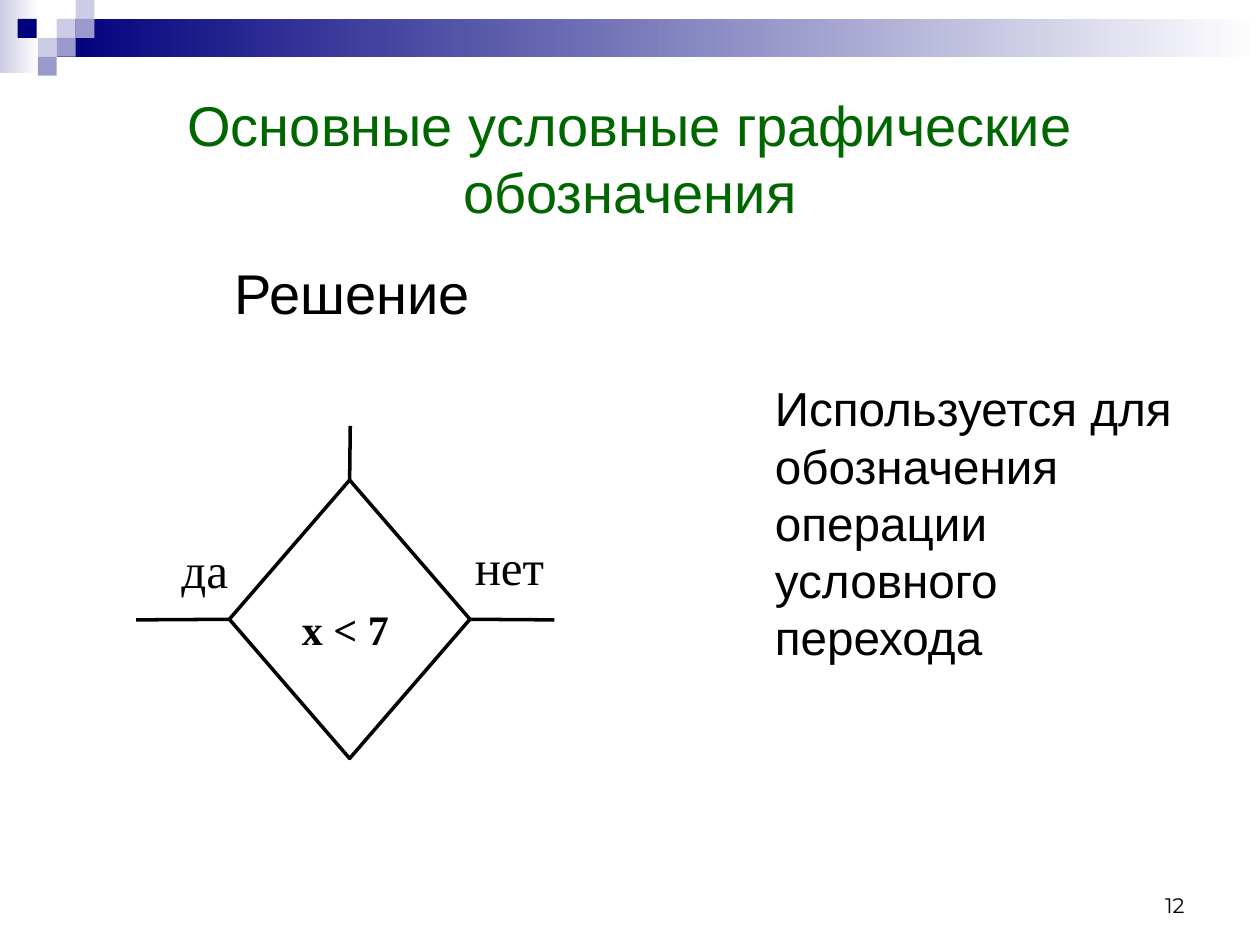
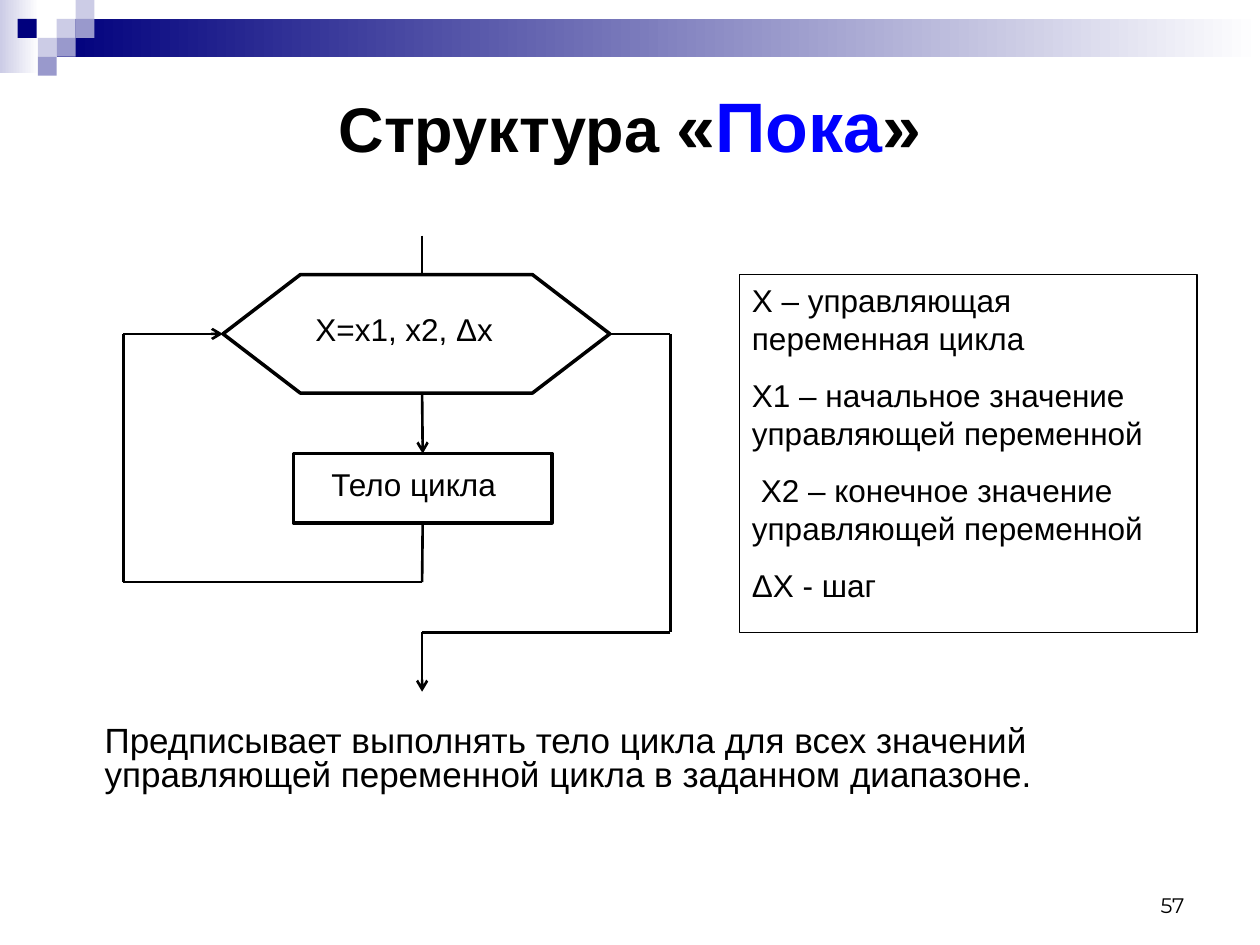
from pptx import Presentation
from pptx.dml.color import RGBColor
from pptx.enum.shapes import MSO_CONNECTOR, MSO_SHAPE
from pptx.enum.text import MSO_ANCHOR, MSO_AUTO_SIZE, PP_ALIGN
from pptx.oxml.ns import qn
from pptx.util import Inches, Pt

RECTANGLE = MSO_SHAPE.RECTANGLE
DECISION = MSO_SHAPE.FLOWCHART_DECISION
PREPARATION = MSO_SHAPE.FLOWCHART_PREPARATION
STRAIGHT = MSO_CONNECTOR.STRAIGHT
TOP, MIDDLE, BOTTOM = MSO_ANCHOR.TOP, MSO_ANCHOR.MIDDLE, MSO_ANCHOR.BOTTOM
LEFT, CENTER, RIGHT = PP_ALIGN.LEFT, PP_ALIGN.CENTER, PP_ALIGN.RIGHT
SITE_TOP, SITE_LEFT, SITE_BOTTOM, SITE_RIGHT = range(4)

BLACK = RGBColor(0x00, 0x00, 0x00)
WHITE = RGBColor(0xFF, 0xFF, 0xFF)
GREEN = RGBColor(0x00, 0x66, 0x00)
BLUE = RGBColor(0x00, 0x00, 0xFF)
NAVY = RGBColor(0x00, 0x00, 0x7D)
LAVENDER = RGBColor(0xCC, 0xCC, 0xE6)
VIOLET = RGBColor(0x99, 0x99, 0xCC)
SANS, SERIF, NUMBER_FONT = "Arial", "Times New Roman", "Montserrat"

# Content
DECISION_SLIDE = {
    "number": "12",
    "title": [("Основные условные графические обозначения", {"size": 32, "color": GREEN})],
    "title_height": 1.5,
    "body": "Используется для обозначения операции условного перехода",
    "body_box": (5.67, 2.96, 3.75, 2.72),
    "body_format": {"size": 27.2},
}
LOOP_SLIDE = {
    "number": "57",
    "title": [("Структура ", {"size": 36, "bold": True}),
              ("«", {"size": 40, "bold": True}),
              ("Пока", {"size": 40, "bold": True, "color": BLUE}),
              ("»", {"size": 40, "bold": True})],
    "title_height": 0.97,
    "body": "Предписывает выполнять тело цикла для всех значений "
            "управляющей переменной цикла в заданном диапазоне.",
    "body_box": (0.35, 5.72, 9.37, 0.93),
    "body_format": {"size": 20, "line_spacing": 0.8},
}
LEGEND = [
    "Х – управляющая переменная цикла",
    "X1 – начальное значение управляющей переменной",
    "X2 – конечное значение управляющей переменной",
    "ΔХ - шаг",
]

# Corner mosaic and gradient bands shared by the slides
BANDS = [((0, 0, 0.31, 0.58), LAVENDER), ((0.45, 0.15, 9.55, 0.3), NAVY)]
TILE = 0.15
TILES = [(0.45, 0.15, LAVENDER), (0.6, 0, LAVENDER), (0.6, 0.15, VIOLET),
         (0.3, 0.3, LAVENDER), (0.14, 0.15, NAVY), (0.45, 0.3, VIOLET),
         (0.3, 0.45, VIOLET)]


def inches(values):
    return [Inches(value) for value in values]


def write_text(shape, paragraphs, font=SANS, size=18, color=BLACK, bold=False,
               align=LEFT, anchor=TOP, insets=(0.1, 0.05), space_before=0,
               line_spacing=None, margin=0, first_line=0):
    """Fill a shape with paragraphs, each a string or a list of (text, format) runs."""
    frame = shape.text_frame
    frame.word_wrap = True
    frame.auto_size = MSO_AUTO_SIZE.NONE
    frame.vertical_anchor = anchor
    frame.margin_left, frame.margin_top = inches(insets)
    frame.margin_right, frame.margin_bottom = inches((0.1, 0.05))
    for index, content in enumerate(paragraphs):
        paragraph = frame.add_paragraph() if index else frame.paragraphs[0]
        paragraph.alignment = align
        paragraph.space_before = Pt(space_before if index else 0)
        if line_spacing:
            paragraph.line_spacing = line_spacing
        properties = paragraph._p.get_or_add_pPr()
        properties.set("marL", str(Inches(margin)))
        properties.set("indent", str(Inches(first_line)))
        properties.append(properties.makeelement(qn("a:buNone"), {}))
        runs = [(content, {})] if isinstance(content, str) else content
        for text, changes in runs:
            run = paragraph.add_run()
            run.text = text
            run.font.name = font
            run.font.size = Pt(changes.get("size", size))
            run.font.bold = changes.get("bold", bold)
            run.font.color.rgb = changes.get("color", color)


def add_text(slide, box, text, **text_format):
    write_text(slide.shapes.add_textbox(*inches(box)), [text], **text_format)


def add_block(slide, kind, box, fill=None, line_width=None):
    shape = slide.shapes.add_shape(kind, *inches(box))
    shape.shadow.inherit = False
    if fill is None:
        shape.fill.background()
    else:
        shape.fill.solid()
        shape.fill.fore_color.rgb = fill
    if line_width is None:
        shape.line.fill.background()
    else:
        shape.line.color.rgb = BLACK
        shape.line.width = Pt(line_width)
    return shape


def add_line(slide, start, end, width=1.5, arrow=False, begin=None, finish=None):
    """Draw a line; begin and finish are (shape, site) pairs to join."""
    connector = slide.shapes.add_connector(STRAIGHT, *inches(start + end))
    if begin:
        connector.begin_connect(*begin)
    if finish:
        connector.end_connect(*finish)
    connector.line.color.rgb = BLACK
    connector.line.width = Pt(width)
    if arrow:
        line = connector.line._get_or_add_ln()
        line.append(line.makeelement(qn("a:tailEnd"), {"type": "arrow"}))
    properties = connector._element.spPr
    properties.append(properties.makeelement(qn("a:effectLst"), {}))


def add_slide(presentation, content):
    slide = presentation.slides.add_slide(presentation.slide_layouts[1])
    for box, color in BANDS:
        band = add_block(slide, RECTANGLE, box, WHITE)
        band.fill.gradient()
        band.fill.gradient_angle = 0
        for stop, stop_color, position in zip(band.fill.gradient_stops, (color, WHITE), (0, 1)):
            stop.color.rgb = stop_color
            stop.position = position
    for left, top, color in TILES:
        add_block(slide, RECTANGLE, (left, top, TILE, TILE), color)

    title, body = slide.shapes.title, slide.placeholders[1]
    for shape, box in ((title, (0.5, 0.5, 9, content["title_height"])),
                       (body, content["body_box"])):
        shape.left, shape.top, shape.width, shape.height = inches(box)
    write_text(title, [content["title"]], align=CENTER, anchor=MIDDLE)
    write_text(body, [content["body"]], margin=0.38, **content["body_format"])
    add_text(slide, (7.17, 6.83, 2.33, 0.5), content["number"],
             font=NUMBER_FONT, size=12, align=RIGHT, anchor=BOTTOM)
    return slide


def draw_decision(slide):
    add_text(slide, (0.92, 2, 3.75, 0.64), "Решение", size=32, align=CENTER)
    add_text(slide, (1.2, 4.23, 0.85, 0.48), "да", font=SERIF, size=28, align=CENTER)
    add_text(slide, (3.67, 4.21, 1, 0.5), "нет", font=SERIF, size=28)
    diamond = add_block(slide, DECISION, (1.82, 3.81, 1.91, 2.21), WHITE, 2)
    write_text(diamond, ["x < 7"], font=SERIF, size=24, bold=True, insets=(0.1, 0.43))

    # Entry and the two branches
    for start, end, site in (((2.78, 3.38), (2.78, 3.81), SITE_TOP),
                             ((1.08, 4.92), (1.82, 4.92), SITE_LEFT),
                             ((4.4, 4.92), (3.73, 4.92), SITE_RIGHT)):
        add_line(slide, start, end, width=2, finish=(diamond, site))


def draw_loop(slide):
    header = add_block(slide, PREPARATION, (1.77, 2.18, 3.07, 0.94), WHITE, 2)
    write_text(header, ["X=x1, x2, Δx"], insets=(0.12, 0.28))
    loop_body = add_block(slide, RECTANGLE, (2.33, 3.6, 2.05, 0.55), WHITE, 2)
    write_text(loop_body, ["Тело цикла"], insets=(0.3, 0.09))

    axis, return_x, exit_x = 3.35, 0.98, 5.32
    header_y, return_y, exit_y = 2.65, 4.62, 5.02

    # Entry and step into the loop body
    add_line(slide, (axis, 1.87), (axis, 2.18))
    add_line(slide, (axis, 3.12), (axis, 3.6), arrow=True, finish=(loop_body, SITE_TOP))
    # Return path to the header
    add_line(slide, (axis, 4.15), (axis, return_y), begin=(loop_body, SITE_BOTTOM))
    add_line(slide, (axis, return_y), (return_x, return_y))
    add_line(slide, (return_x, return_y), (return_x, header_y))
    add_line(slide, (return_x, header_y), (1.77, header_y), arrow=True,
             finish=(header, SITE_LEFT))
    # Exit path
    add_line(slide, (4.84, header_y), (exit_x, header_y), begin=(header, SITE_RIGHT))
    add_line(slide, (exit_x, header_y), (exit_x, exit_y))
    add_line(slide, (exit_x, exit_y), (axis, exit_y))
    add_line(slide, (axis, exit_y), (axis, 5.49), arrow=True)

    legend = add_block(slide, RECTANGLE, (5.87, 2.18, 3.63, 2.84), line_width=0.75)
    write_text(legend, LEGEND, space_before=11.2)
    third_item = legend.text_frame.paragraphs[2]._p.get_or_add_pPr()
    third_item.set("indent", str(Inches(0.07)))


def main():
    presentation = Presentation()
    presentation.slide_width, presentation.slide_height = inches((10, 7.5))
    draw_decision(add_slide(presentation, DECISION_SLIDE))
    draw_loop(add_slide(presentation, LOOP_SLIDE))
    presentation.save("out.pptx")


if __name__ == "__main__":
    main()
